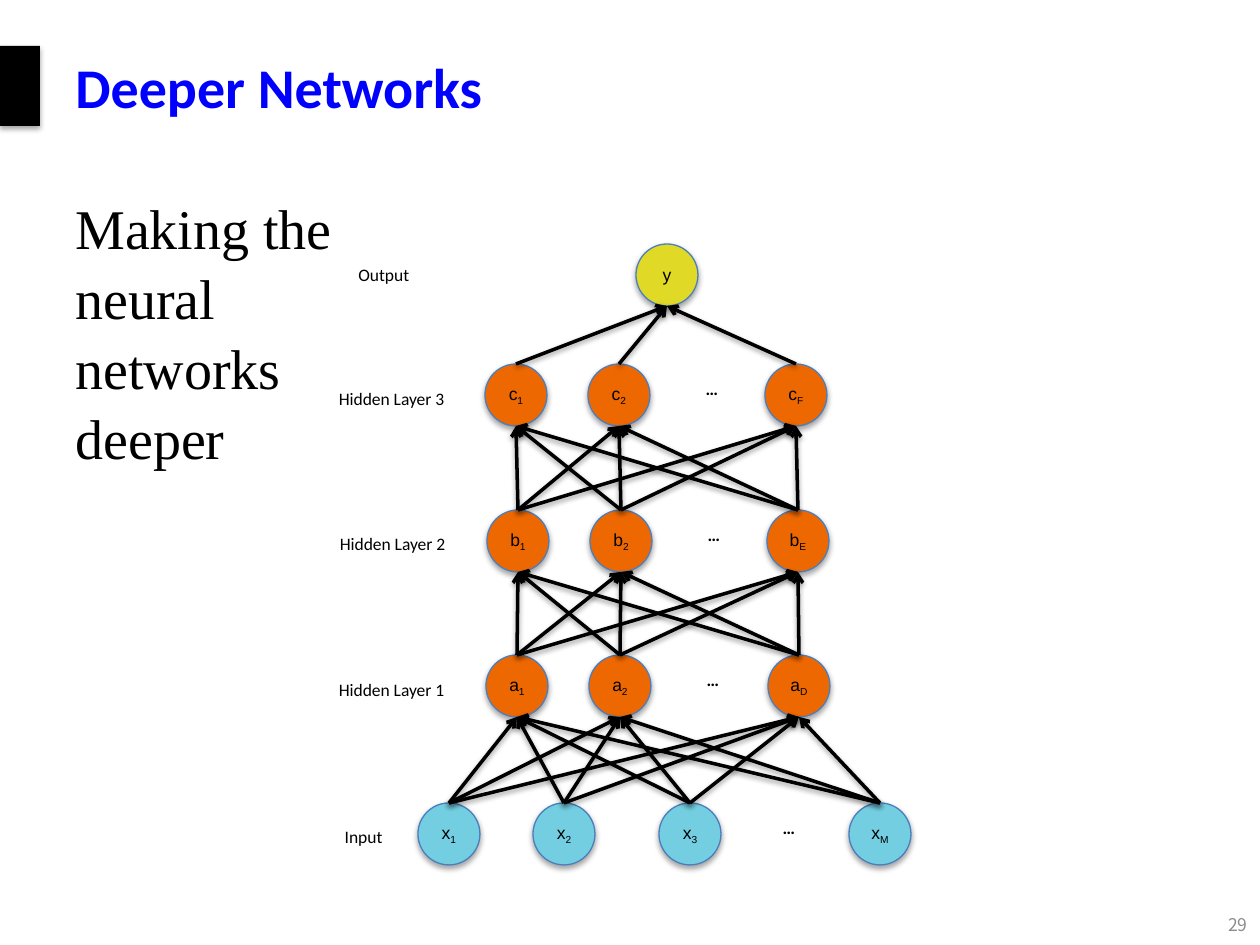
"""Build the Deeper Networks slide: a layered neural network diagram."""
from itertools import pairwise, product

from lxml import etree
from pptx import Presentation
from pptx.dml.color import RGBColor
from pptx.enum import shapes, text
from pptx.oxml.ns import qn
from pptx.util import Emu, Pt

BLACK = RGBColor(0, 0, 0)
BLUE = RGBColor(0, 0, 255)
GREY = RGBColor(0x8C, 0x8C, 0x8C)
YELLOW = RGBColor(0xE0, 0xD9, 0x25)
ORANGE = RGBColor(0xEE, 0x68, 0x02)
CYAN = RGBColor(0x72, 0xCE, 0xE0)
OUTLINE = RGBColor(0x4B, 0x7E, 0xBC)

EMU_PER_PX = 914400 / 126
NODE = 62
DOTS_WIDTH, TEXT_HEIGHT = 40, 34
LEFT, CENTER, RIGHT = text.PP_ALIGN.LEFT, text.PP_ALIGN.CENTER, text.PP_ALIGN.RIGHT
TOP, MIDDLE = text.MSO_ANCHOR.TOP, text.MSO_ANCHOR.MIDDLE

# Layers from top to bottom: top, colour, letter, {subscript: left}, left of the dots
LAYERS = [
    (244, YELLOW, "y", {"": 636}, None),
    (364, ORANGE, "c", {"1": 485, "2": 588, "F": 765}, 692),
    (510, ORANGE, "b", {"1": 487, "2": 590, "E": 767}, 694),
    (655, ORANGE, "a", {"1": 486, "2": 589, "D": 768}, 693),
    (803, CYAN, "x", {"1": 418, "2": 533, "3": 659, "M": 849}, 769),
]
LABELS = [
    ("Output", 346, 258, 97, LEFT),
    ("Hidden Layer 3", 314, 382, 155, CENTER),
    ("Hidden Layer 2", 315, 527, 155, CENTER),
    ("Hidden Layer 1", 314, 673, 155, CENTER),
    ("Input", 315, 820, 97, CENTER),
]


def px(*lengths):
    return [Emu(round(length * EMU_PER_PX)) for length in lengths]


def style(para, size, name, color, align=LEFT, bold=False):
    para.alignment = align
    para.font.size, para.font.name, para.font.bold = Pt(size), name, bold
    para.font.color.rgb = color


def add_shadow(shape, distance, alpha):
    effects = etree.SubElement(shape._element.spPr, qn("a:effectLst"))
    shadow = etree.SubElement(effects, qn("a:outerShdw"), blurRad="40000",
                              dist=str(distance), dir="5400000", rotWithShape="0")
    color = etree.SubElement(shadow, qn("a:srgbClr"), val=str(BLACK))
    etree.SubElement(color, qn("a:alpha"), val=str(alpha * 1000))


def add_text(page, words, place, size, name, color=BLACK, align=LEFT, anchor=TOP, bold=False):
    box = page.shapes.add_textbox(*px(*place))
    box.text_frame.word_wrap = True
    box.text_frame.vertical_anchor = anchor
    para = box.text_frame.paragraphs[0]
    para.text = words
    style(para, size, name, color, align, bold)
    return para


def add_node(page, left, top, color, letter, subscript):
    node = page.shapes.add_shape(shapes.MSO_SHAPE.FLOWCHART_CONNECTOR, *px(left, top, NODE, NODE))
    node.fill.solid()
    node.fill.fore_color.rgb = color
    node.line.color.rgb = OUTLINE
    node.line.width = Pt(0.75)
    add_shadow(node, 23000, 35)
    frame = node.text_frame
    frame.word_wrap = False
    frame.vertical_anchor = MIDDLE
    frame.margin_left = frame.margin_right = 0
    para = frame.paragraphs[0]
    style(para, 10, "Arial", BLACK, CENTER)
    para.add_run().text = letter
    if subscript:
        span = para.add_run()
        span.text = subscript
        span._r.get_or_add_rPr().set("baseline", "-25000")
    return node


def add_arrow(page, upper, lower):
    start = upper.left + upper.width // 2, upper.top + upper.height
    arrow = page.shapes.add_connector(shapes.MSO_CONNECTOR.STRAIGHT, *start, *start)
    arrow.end_connect(lower, 0)
    arrow.line.color.rgb = BLACK
    arrow.line.width = Pt(2)
    etree.SubElement(arrow.line._get_or_add_ln(), qn("a:headEnd"), type="arrow")
    add_shadow(arrow, 20000, 38)


def main():
    deck = Presentation()
    deck.slide_width, deck.slide_height = px(1260, 945)
    page = deck.slides.add_slide(deck.slide_layouts[6])

    marker = page.shapes.add_shape(shapes.MSO_SHAPE.RECTANGLE, *px(0, 46, 40, 80))
    marker.fill.solid()
    marker.fill.fore_color.rgb = BLACK
    marker.line.fill.background()
    add_shadow(marker, 23000, 35)

    add_text(page, "Deeper Networks", (63, 8, 1134, 157), 32, "Calibri", BLUE,
             anchor=MIDDLE, bold=True)
    body = add_text(page, "Making the neural networks deeper", (63, 185, 292, 624),
                    32, "Times New Roman")
    body.space_before, body.line_spacing = Pt(3), 1.04
    add_text(page, "29", (1066, 907, 194, 36), 10, "Noto Sans CJK SC", GREY, RIGHT, MIDDLE)

    rows = []
    for top, color, letter, lefts, dots in LAYERS:
        rows.append([add_node(page, left, top, color, letter, subscript)
                     for subscript, left in lefts.items()])
        if dots:
            add_text(page, "…", (dots, top + 7, DOTS_WIDTH, TEXT_HEIGHT), 10, "Calibri",
                     align=CENTER, anchor=MIDDLE, bold=True)
    for uppers, lowers in pairwise(rows):
        for upper, lower in product(uppers, lowers):
            add_arrow(page, upper, lower)
    for words, left, top, width, align in LABELS:
        add_text(page, words, (left, top, width, TEXT_HEIGHT), 10, "Calibri", align=align)

    deck.save("out.pptx")


if __name__ == "__main__":
    main()
